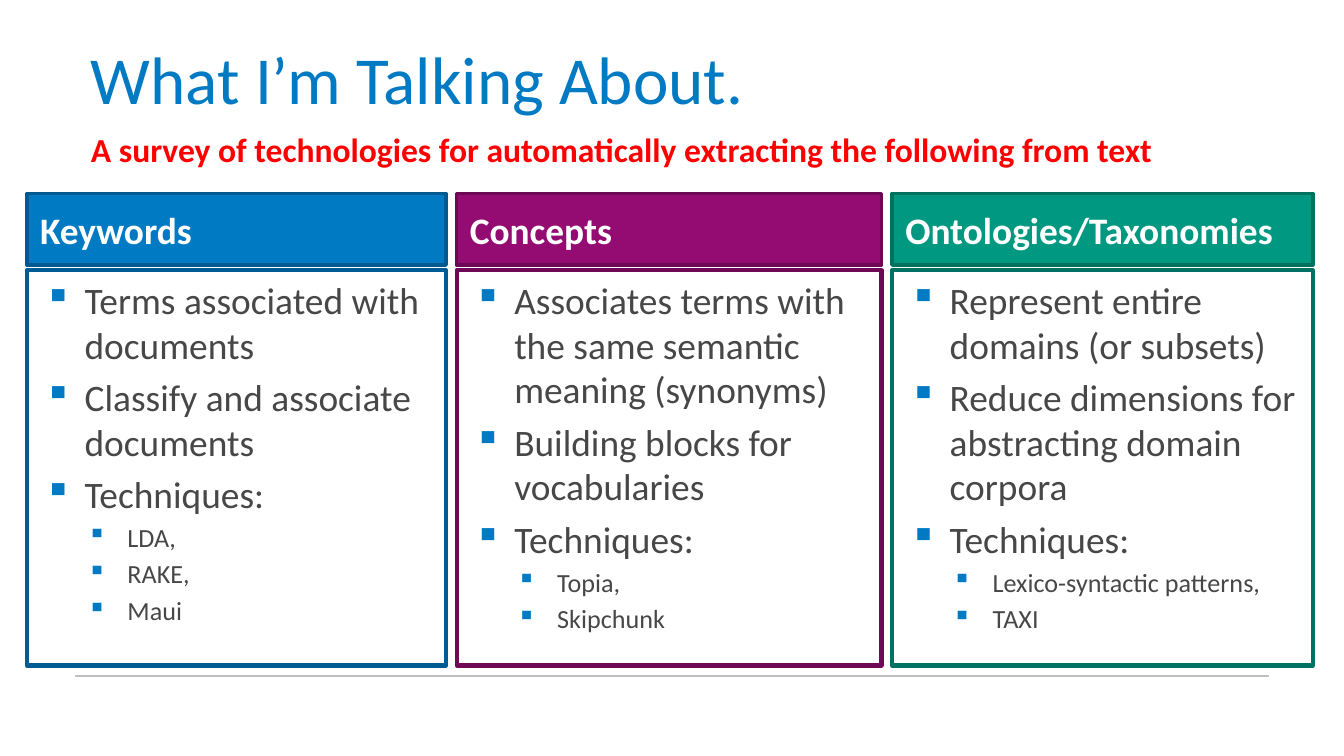
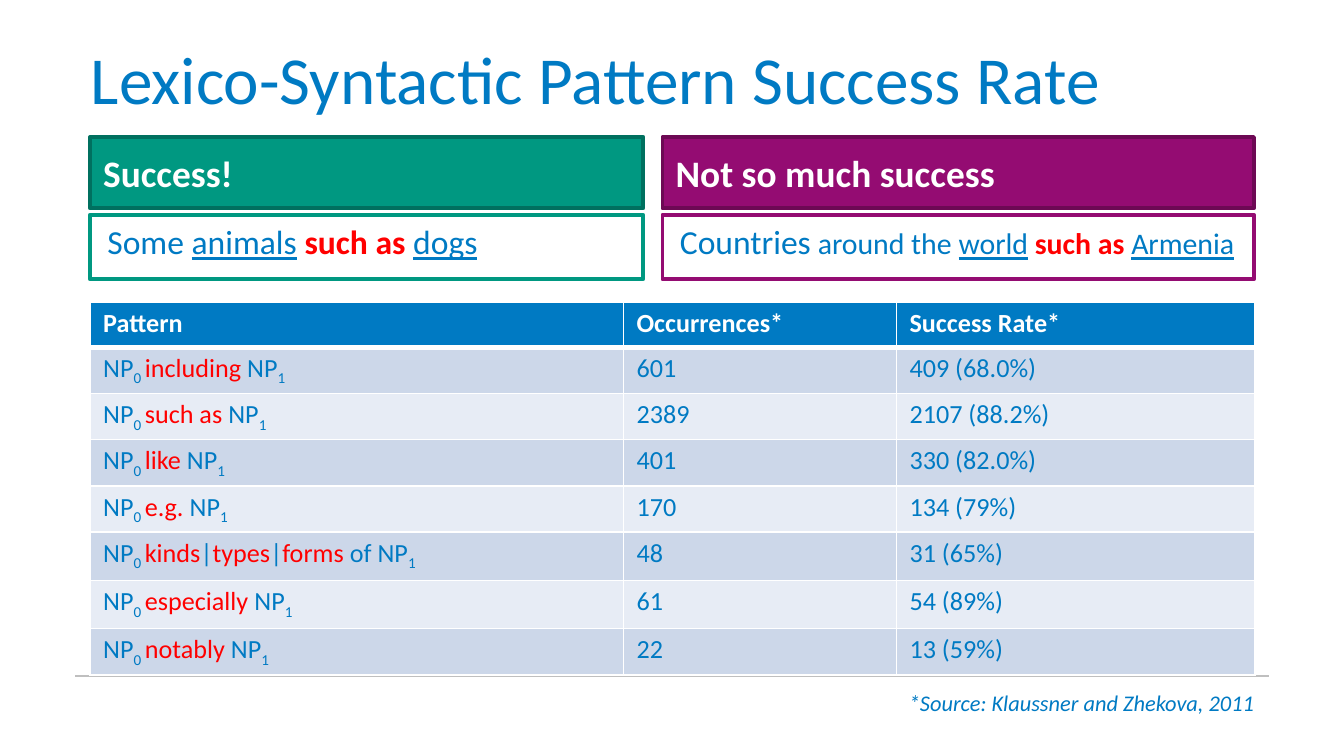
from lxml.etree import SubElement
from pptx import Presentation
from pptx.dml.color import RGBColor
from pptx.enum.shapes import MSO_CONNECTOR as Connector, MSO_SHAPE as Shape
from pptx.enum.text import MSO_ANCHOR as Anchor, PP_ALIGN as Align
from pptx.oxml.ns import qn
from pptx.util import Cm, Pt

FONT = "Calibri"
BLUE, PURPLE, GREEN = "007AC3", "940C72", "009881"
DARK_BLUE, DARK_PURPLE, DARK_GREEN = "005A90", "6D0954", "00705F"
RED, GREY, WHITE = "FF0000", "474747", "FFFFFF"
HEADER_HEIGHT = 1.35
colour_of = RGBColor.from_string


def write(frame, text, size=18, colour=BLUE, bold=False, italic=False,
          align=Align.LEFT, margin=0, indent=0, bullet=None, before=0):
    """Add one paragraph; text is a string or a list of (text, changes) spans."""
    para = frame.add_paragraph() if frame.text else frame.paragraphs[0]
    props = para._p.get_or_add_pPr()
    props.set("marL", str(Cm(margin)))
    props.set("indent", str(Cm(indent)))
    if bullet:
        SubElement(SubElement(props, qn("a:buClr")), qn("a:srgbClr"), val=BLUE)
        SubElement(props, qn("a:buChar"), char=bullet)
    para.alignment = align
    para.space_before = Pt(before)
    for words, changes in [(text, {})] if isinstance(text, str) else text:
        span = para.add_run()
        span.text = words
        font = span.font
        font.name = FONT
        font.size = Pt(changes.get("size", size))
        font.bold = changes.get("bold", bold)
        font.italic = italic
        font.underline = changes.get("underline", False)
        font.color.rgb = colour_of(changes.get("colour", colour))
        if changes.get("subscript"):
            span._r.get_or_add_rPr().set("baseline", "-25000")


def add_box(page, left, top, width, height, fill=None, line=None, weight=2,
            anchor=Anchor.TOP):
    """Add a bordered rectangle, or a text box without a line; return its text frame."""
    place = Cm(left), Cm(top), Cm(width), Cm(height)
    if line:
        box = page.shapes.add_shape(Shape.RECTANGLE, *place)
        box.shadow.inherit = False
        box.line.color.rgb = colour_of(line)
        box.line.width = Pt(weight)
        if fill:
            box.fill.solid()
            box.fill.fore_color.rgb = colour_of(fill)
        else:
            box.fill.background()
    else:
        box = page.shapes.add_textbox(*place)
    frame = box.text_frame
    frame.word_wrap = True
    frame.vertical_anchor = anchor
    return frame


deck = Presentation()
deck.slide_width, deck.slide_height = Cm(25.4), Cm(14.29)

# Shared title and footer rule
pages = []
for title in ["What I’m Talking About.", "Lexico-Syntactic Pattern Success Rate"]:
    page = deck.slides.add_slide(deck.slide_layouts[6])
    rule = page.shapes.add_connector(
        Connector.STRAIGHT, Cm(1.42), Cm(12.78), Cm(23.98), Cm(12.78))
    rule.line.color.rgb = colour_of("BFBFBF")
    rule.line.width = Pt(1)
    SubElement(rule._element.spPr, qn("a:effectLst"))
    write(add_box(page, 1.47, 0.56, 22.66, 1.8, anchor=Anchor.MIDDLE), title, size=36)
    pages.append(page)
survey, results = pages

# Slide 1: three columns of topics
write(add_box(survey, 1.47, 2.31, 21.54, 1.02),
      "A survey of technologies for automatically extracting the following from text",
      colour=RED, bold=True)
topics = [
    ("Keywords", 7.92, BLUE, DARK_BLUE, "005C92",
     ["Terms associated with documents", "Classify and associate documents"],
     ["LDA,", "RAKE,", "Maui"]),
    ("Concepts", 8.03, PURPLE, DARK_PURPLE, "6F0955",
     ["Associates terms with the same semantic meaning (synonyms)",
      "Building blocks for vocabularies"],
     ["Topia,", "Skipchunk"]),
    ("Ontologies/Taxonomies", 7.95, GREEN, DARK_GREEN, "007261",
     ["Represent entire domains (or subsets)",
      "Reduce dimensions for abstracting domain corpora"],
     ["Lexico-syntactic patterns,", "TAXI"]),
]
left = 0.51
for heading, width, fill, header_line, body_line, points, techniques in topics:
    header = add_box(survey, left, 3.66, width, HEADER_HEIGHT, fill, header_line,
                     anchor=Anchor.MIDDLE)
    write(header, heading, size=20, colour=WHITE, bold=True)
    body = add_box(survey, left, 5.11, width, 7.47, line=body_line, weight=2.25)
    for number, point in enumerate(points + ["Techniques:"]):
        write(body, point, size=20, colour=GREY, margin=0.84, indent=-0.76,
              bullet="▪", before=4 if number else 0)
    for technique in techniques:
        write(body, technique, size=14, colour=GREY, margin=1.65, indent=-0.76,
              bullet="▪", before=2.8)
    left += width + 0.2

# Slide 2: example sentences
underlined = {"underline": True}
cue_style = {"colour": RED, "bold": True}
examples = [
    ("Success!", 10.46, GREEN, DARK_GREEN, 18,
     [("Some ", {}), ("animals", underlined), (" ", {}), ("such as ", cue_style),
      ("dogs", underlined)]),
    ("Not so much success", 11.18, PURPLE, DARK_PURPLE, 16,
     [("Countries", {"size": 18}), (" around the ", {}), ("world", underlined),
      (" ", {}), ("such as ", cue_style), ("Armenia", underlined)]),
]
left = 1.7
for heading, width, fill, header_line, size, sentence in examples:
    header = add_box(results, left, 2.59, width, HEADER_HEIGHT, fill, header_line,
                     anchor=Anchor.MIDDLE)
    write(header, heading, size=20, colour=WHITE, bold=True)
    write(add_box(results, left, 4.06, width, 1.22, WHITE, fill), sentence,
          size=size, margin=0.08)
    left += width + 0.36

# Slide 2: table of patterns
patterns = [
    ("including", " NP", "601", "409 (68.0%)"),
    ("such as", " NP", "2389", "2107 (88.2%)"),
    ("like", " NP", "401", "330 (82.0%)"),
    ("e.g.", " NP", "170", "134 (79%)"),
    ("kinds|types|forms", " of NP", "48", "31 (65%)"),
    ("especially", " NP", "61", "54 (89%)"),
    ("notably", " NP", "22", "13 (59%)"),
]
rows = [("Pattern", "Occurrences*", "Success Rate*")]
for cues, ending, occurrences, rate in patterns:
    spans = [("NP", {}), ("0 ", {"subscript": True})]
    for number, cue in enumerate(cues.split("|")):
        if number:
            spans.append(("|", {}))
        spans.append((cue, {"colour": RED}))
    spans += [(ending, {}), ("1", {"subscript": True})]
    rows.append((spans, occurrences, rate))

table = results.shapes.add_table(
    len(rows), 3, Cm(1.7), Cm(5.72), Cm(22.02), Cm(6.76)).table
for column, width in zip(table.columns, [10.08, 5.16, 6.78]):
    column.width = Cm(width)
for row, height in zip(table.rows, [0.84, 0.86, 0.81, 0.81, 0.74, 0.91, 0.91, 0.81]):
    row.height = Cm(height)
for r, row in enumerate(rows):
    for c, text in enumerate(row):
        cell = table.cell(r, c)
        cell.margin_left = cell.margin_right = Cm(0.25)
        cell.margin_top = cell.margin_bottom = Cm(0.1)
        for side in "LRTB":
            thick = (r, side) in [(0, "B"), (1, "T")]
            border = SubElement(cell._tc.get_or_add_tcPr(), qn(f"a:ln{side}"),
                                w=str(Pt(3 if thick else 1)))
            SubElement(SubElement(border, qn("a:solidFill")), qn("a:srgbClr"), val=WHITE)
        cell.fill.solid()
        band = "CCD7E9" if r % 2 else "E7ECF5"
        cell.fill.fore_color.rgb = colour_of(band if r else BLUE)
        write(cell.text_frame, text, size=14, colour=BLUE if r else WHITE, bold=r == 0)

write(add_box(results, 16.31, 12.9, 7.65, 0.76),
      "*Source: Klaussner and Zhekova, 2011", size=12, italic=True, align=Align.RIGHT)

deck.save("out.pptx")
